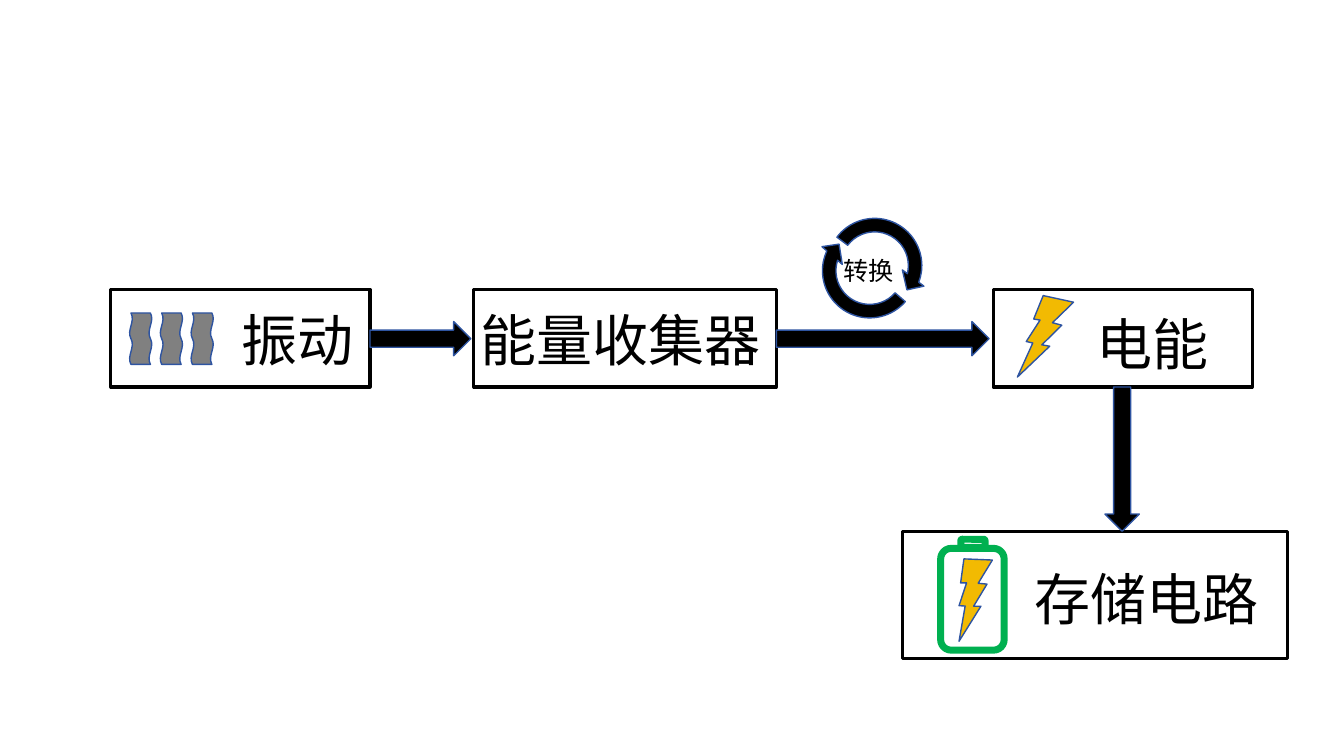
from pptx import Presentation
from pptx.dml.color import RGBColor
from pptx.enum.shapes import MSO_SHAPE
from pptx.util import Inches, Pt

THEME = {
    "font": "Calibri", "label": 40, "caption": 18,
    "black": "000000", "wave": "808080", "edge": "2E54A1",
    "bolt": "F2BA02", "battery": "00B050",
    "thin": 1, "frame": 2.25, "thick": 5,
}
ROW_TOP, ROW_HEIGHT = 2.87, 0.97
ARROW_WIDTH = 0.34
FRAMES = [
    (1.1, ROW_TOP, 2.57, ROW_HEIGHT),
    (4.7, ROW_TOP, 3, ROW_HEIGHT),
    (9.85, ROW_TOP, 2.57, ROW_HEIGHT),
    (8.95, 5.27, 3.82, 1.26),
]
LABELS = [
    ("振动", (2.3, 2.98, 1.37, 0.77), "label"),
    ("能量收集器", (4.67, 2.98, 3.1, 0.77), "label"),
    ("电能", (10.78, 3.02, 1.37, 0.77), "label"),
    ("存储电路", (10.16, 5.55, 2.6, 0.77), "label"),
    ("转换", (8.27, 2.48, 0.72, 0.41), "caption"),
]
FLOW_ARROWS = [
    (MSO_SHAPE.RIGHT_ARROW, (3.67, 3.19, 1, ARROW_WIDTH)),
    (MSO_SHAPE.RIGHT_ARROW, (7.7, 3.19, 2.11, ARROW_WIDTH)),
    (MSO_SHAPE.DOWN_ARROW, (10.96, 3.84, ARROW_WIDTH, 1.43)),
]
CYCLE_ARROWS = [((8.14, 2.1, 1.07, 1.07), 37), ((8.09, 2.15, 1.07, 1.07), 221)]
BOLTS = [((10, 2.94, 0.71, 0.73), 347), ((9.33, 5.54, 0.64, 0.72), 335)]
BATTERY = [(9.33, 5.44, 0.63, 1.01), (9.53, 5.35, 0.24, 0.08)]
WAVE_COUNT, WAVE_LEFT, WAVE_STEP = 3, 1.14, 0.305


def color(name):
    return RGBColor.from_string(THEME[name])


def add_figure(page, kind, place, fill=None, line="edge", weight="thin", turn=0, mirrored=False):
    figure = page.shapes.add_shape(kind, *map(Inches, place))
    figure.shadow.inherit = False
    if fill:
        figure.fill.solid()
        figure.fill.fore_color.rgb = color(fill)
    else:
        figure.fill.background()
    figure.line.color.rgb = color(line)
    figure.line.width = Pt(THEME[weight])
    figure.rotation = turn
    if mirrored:
        figure.element.spPr.xfrm.set("flipH", "1")


def add_label(page, text, place, size):
    box = page.shapes.add_textbox(*map(Inches, place))
    box.text_frame.word_wrap = True
    box.text_frame.text = text
    font = box.text_frame.paragraphs[0].runs[0].font
    font.name = THEME["font"]
    font.size = Pt(THEME[size])
    font.color.rgb = color("black")


def main():
    deck = Presentation()
    deck.slide_width, deck.slide_height = Inches(13.33), Inches(7.5)
    page = deck.slides.add_slide(deck.slide_layouts[6])

    for place in FRAMES:
        add_figure(page, MSO_SHAPE.RECTANGLE, place, line="black", weight="frame")
    for label in LABELS:
        add_label(page, *label)
    for index in range(WAVE_COUNT):
        place = (WAVE_LEFT + index * WAVE_STEP, 3.25, 0.51, 0.22)
        add_figure(page, MSO_SHAPE.DOUBLE_WAVE, place, "wave", turn=90)
    for kind, place in FLOW_ARROWS:
        add_figure(page, kind, place, "black")
    for place, turn in CYCLE_ARROWS:
        add_figure(page, MSO_SHAPE.CIRCULAR_ARROW, place, "black", turn=turn)
    for place, turn in BOLTS:
        add_figure(page, MSO_SHAPE.LIGHTNING_BOLT, place, "bolt", turn=turn, mirrored=True)
    for place in BATTERY:
        add_figure(page, MSO_SHAPE.ROUNDED_RECTANGLE, place, line="battery", weight="thick")

    deck.save("out.pptx")


if __name__ == "__main__":
    main()
